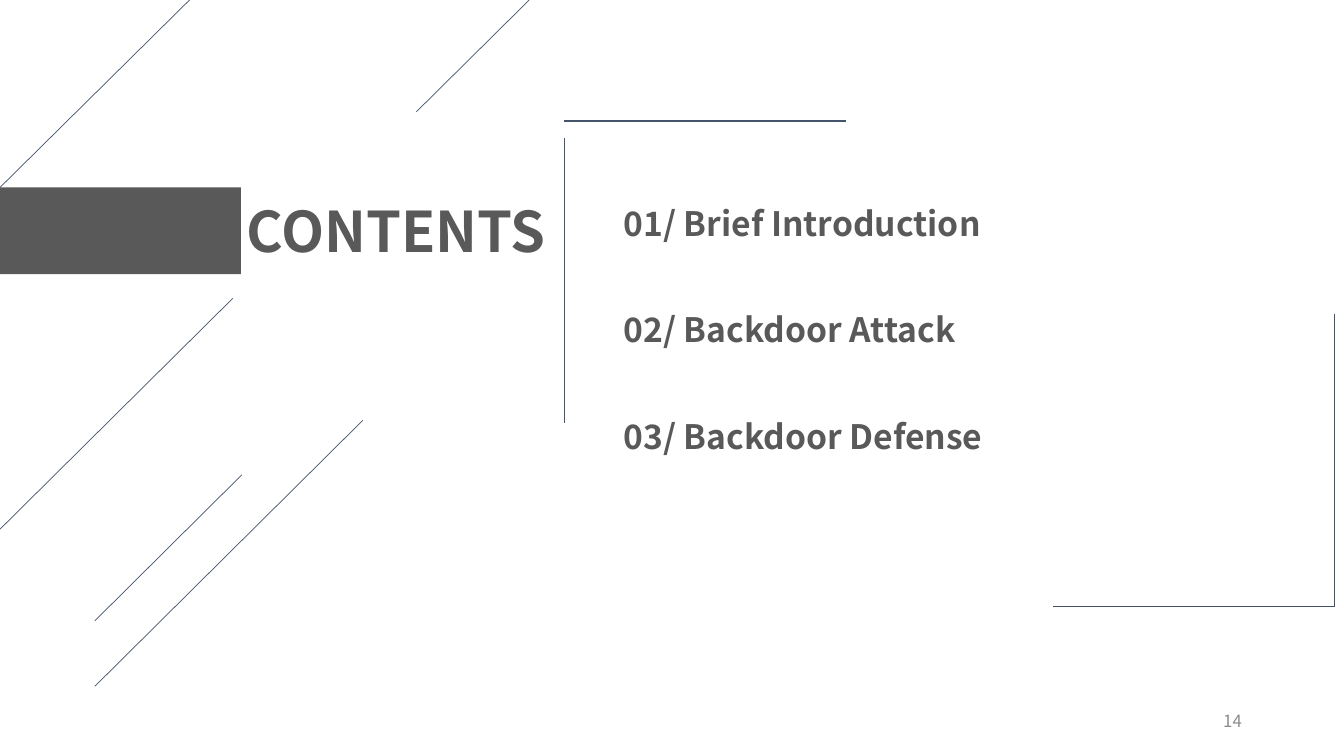
"""Build the contents slide."""
from dataclasses import dataclass

from lxml.etree import SubElement
from pptx import Presentation
from pptx.dml.color import RGBColor
from pptx.enum.shapes import MSO_CONNECTOR, MSO_SHAPE
from pptx.enum.text import MSO_ANCHOR, MSO_AUTO_SIZE, PP_ALIGN
from pptx.oxml.ns import qn
from pptx.util import Pt


@dataclass(frozen=True)
class Theme:
    """Colours, type and line sizes of the slide."""
    font: str = "Noto Sans CJK SC"
    dark: str = "595959"
    navy: str = "44546A"
    pale: str = "8C8C8C"
    title: int = 40
    topic: int = 24
    small: int = 12
    thin: float = 0.5
    thick: float = 1


THEME = Theme()
SLANTS = [
    (135.4, 0, 0, 133.9),
    (378, 0, 297.4, 79.9),
    (166.3, 213.1, 0, 378),
    (259.2, 300.2, 67.7, 490.3),
    (172.8, 339.1, 67.7, 443.5),
]
FRAME = [
    (403.2, 86.4, 604.1, 86.4),
    (403.2, 98.6, 403.2, 302.4),
    (752.4, 433.4, 953.3, 433.4),
    (953.3, 224.6, 953.3, 433.4),
]
TOPICS = ["Brief Introduction", "Backdoor Attack", "Backdoor Defense"]


def add_line(slide, ends, width):
    """Draw a straight line between two points."""
    line = slide.shapes.add_connector(
        MSO_CONNECTOR.STRAIGHT, *[Pt(end) for end in ends])
    line.line.color.rgb = RGBColor.from_string(THEME.navy)
    line.line.width = Pt(width)
    SubElement(line._element.spPr, qn("a:effectLst"))


def add_bar(slide, place):
    """Draw a plain dark bar."""
    bar = slide.shapes.add_shape(
        MSO_SHAPE.RECTANGLE, *[Pt(side) for side in place])
    bar.shadow.inherit = False
    bar.fill.solid()
    bar.fill.fore_color.rgb = RGBColor.from_string(THEME.dark)
    bar.line.fill.background()


def add_text(slide, text, place, size, color=THEME.dark, bold=True):
    """Add a one-line text box that grows with its text."""
    box = slide.shapes.add_textbox(*[Pt(side) for side in place])
    frame = box.text_frame
    frame.text = text
    frame.word_wrap = True
    frame.auto_size = MSO_AUTO_SIZE.SHAPE_TO_FIT_TEXT
    font = frame.paragraphs[0].runs[0].font
    font.name = THEME.font
    font.size = Pt(size)
    font.bold = bold
    font.color.rgb = RGBColor.from_string(color)
    return frame


def add_page(slide, number):
    """Add the page number at the lower right."""
    frame = add_text(slide, number, (678.2, 500.4, 216, 28.8),
                     THEME.small, THEME.pale, False)
    frame.auto_size = MSO_AUTO_SIZE.NONE
    frame.vertical_anchor = MSO_ANCHOR.MIDDLE
    frame.paragraphs[0].alignment = PP_ALIGN.RIGHT


def main():
    """Build and save the slide."""
    deck = Presentation()
    deck.slide_width, deck.slide_height = Pt(960), Pt(540)
    slide = deck.slides.add_slide(deck.slide_layouts[6])
    for ends in SLANTS:
        add_line(slide, ends, THEME.thin)
    for ends in FRAME:
        add_line(slide, ends, THEME.thick)
    add_bar(slide, (0, 133.9, 172.1, 61.9))
    add_text(slide, "CONTENTS", (169.2, 136.8, 244.8, 55.4), THEME.title)
    for row, topic in enumerate(TOPICS):
        place = (438.5, 141.1 + 76.3 * row, 386.6, 36)
        add_text(slide, f"{row + 1:02}/ {topic}", place, THEME.topic)
    add_page(slide, "14")
    deck.save("out.pptx")


if __name__ == "__main__":
    main()
